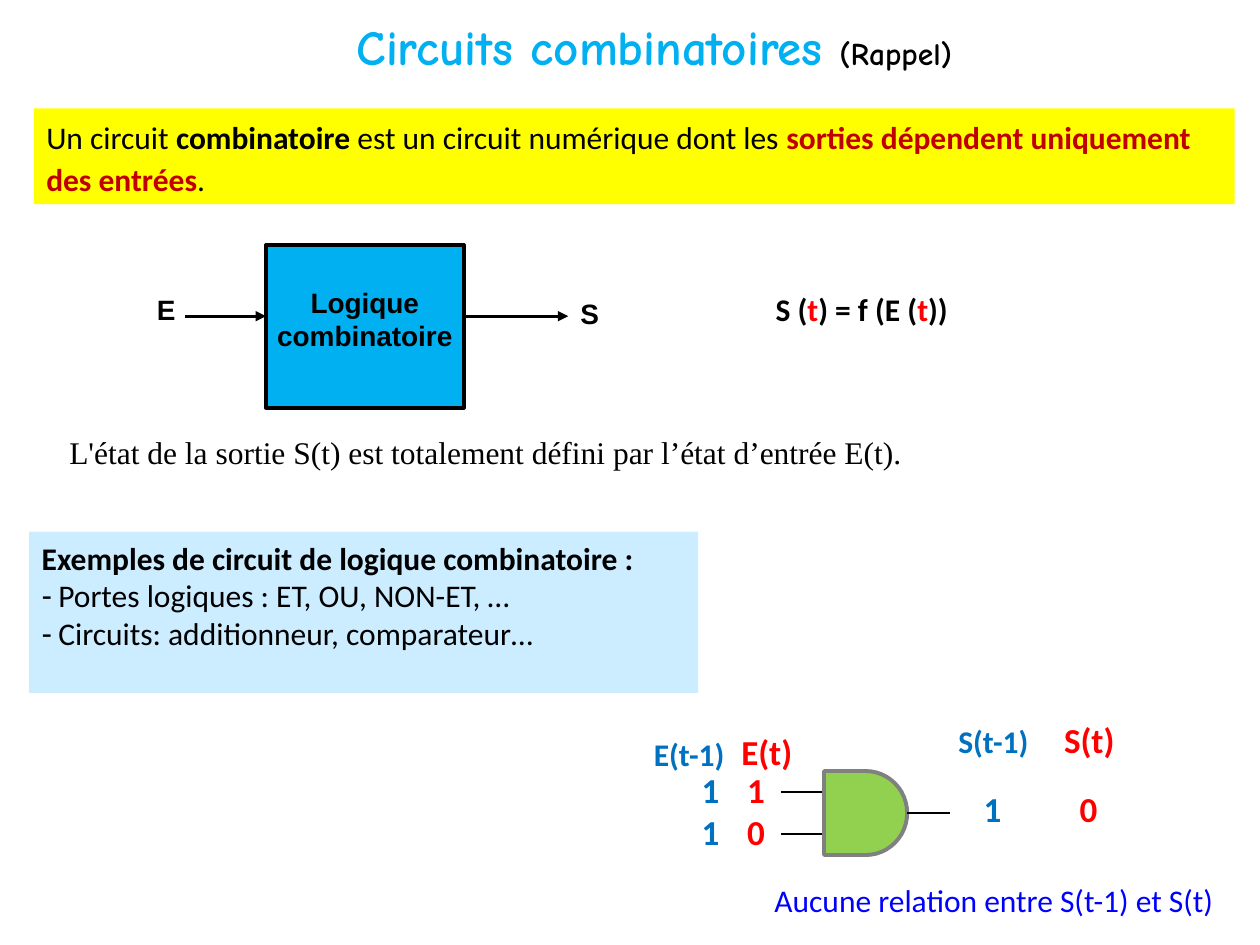
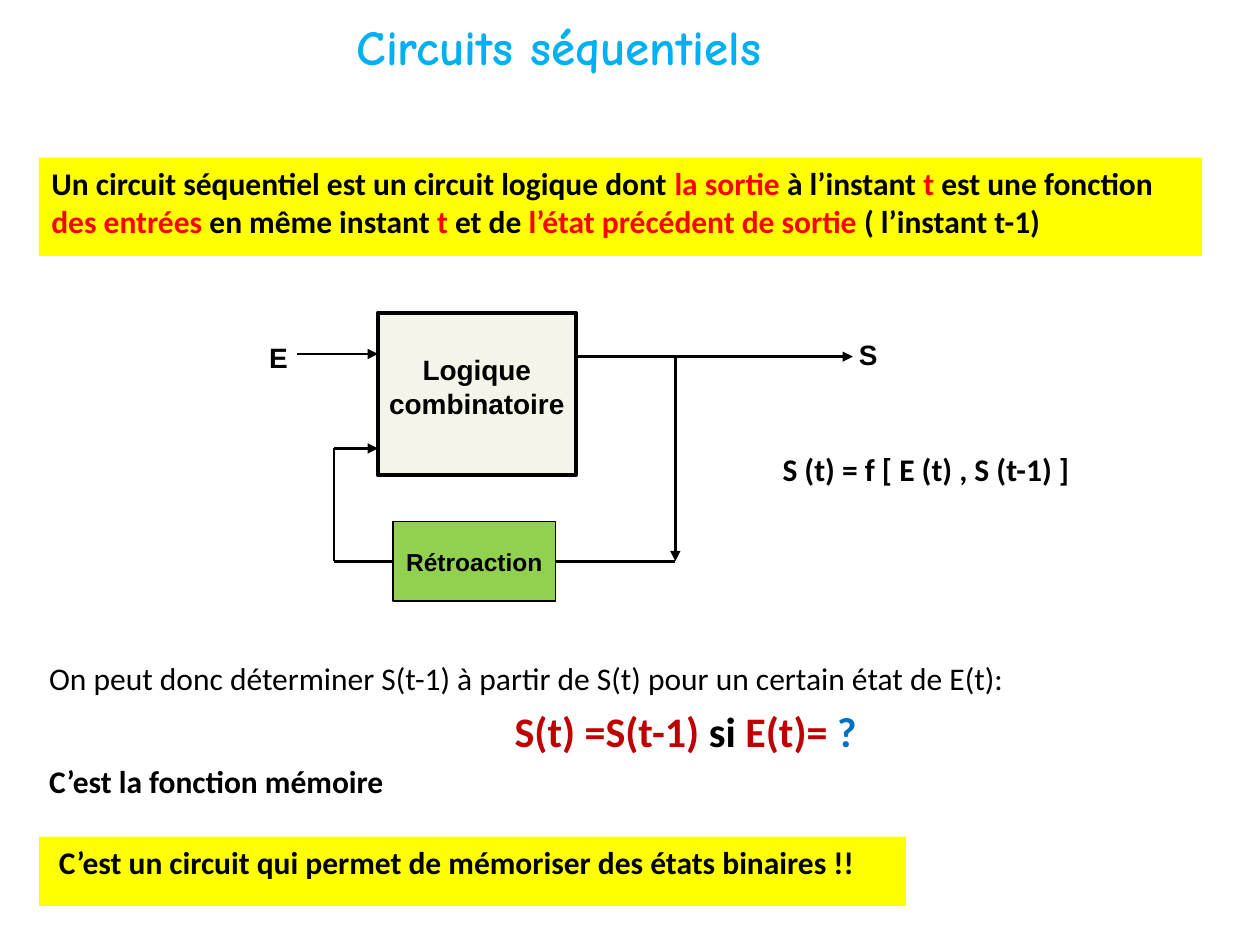
from lxml.etree import SubElement
from pptx import Presentation
from pptx.dml.color import RGBColor
from pptx.enum.shapes import MSO_CONNECTOR, MSO_SHAPE
from pptx.enum.text import MSO_ANCHOR, MSO_AUTO_SIZE, PP_ALIGN
from pptx.oxml.ns import qn
from pptx.util import Pt

THEME = {
    "ink": "000000", "sky": "00B0F0", "red": "FF0000", "wine": "C00000",
    "blue": "0070C0", "navy": "0000FF", "sun": "FFFF00", "ice": "CCECFF",
    "cream": "F4F4E8", "leaf": "92D050", "gray": "808080",
    "title": dict(name="Comic Neue", size=28, bold=True, color="sky"),
    "text": dict(name="Calibri", size=18, bold=False, color="ink"),
    "strong": dict(name="Calibri", size=18, bold=True, color="ink"),
    "serif": dict(name="Times New Roman", size=18, bold=False, color="ink"),
    "block": dict(name="Arial", size=16, bold=True, color="ink"),
    "small": dict(name="Arial", size=14, bold=True, color="ink"),
    "past": dict(name="Calibri", size=18, bold=True, color="blue"),
    "note": dict(name="Calibri", size=18, bold=False, color="navy"),
    "old bit": dict(name="Calibri", size=20, bold=True, color="blue"),
    "new bit": dict(name="Calibri", size=20, bold=True, color="red"),
}
BOLD, RED = dict(bold=True), dict(color="red")
WINE, BLUE = dict(color="wine"), dict(color="blue")
LOGIC = "Logique combinatoire"
WIDE, THICK = 113, 93            # logic block
EDGE, WIRE, THIN = 2.25, 1.5, 1  # line widths
SPOT = (14.4, 19.4)              # E and S labels
SUM = (208.8, 28.8)              # formula boxes

# A paragraph is a list of runs; a run is text, or text with changes of style.
COMBI = {
    "title": ["Circuits combinatoires ", ("(Rappel)", dict(size=18, color="ink"))],
    "rule": ["Un circuit ", ("combinatoire", BOLD),
             " est un circuit numérique dont les ",
             ("sorties dépendent uniquement des entrées", BOLD | WINE), "."],
    "sum": ["S (", ("t", RED), ") = f (E (", ("t", RED), "))"],
    "state": ["L'état de la sortie S(t) est totalement défini par l’état d’entrée E(t)."],
    "list": [
        ([("Exemples de circuit de logique combinatoire\u00a0:", BOLD)], {}),
        (["Portes logiques : ET, OU, NON-ET, …"], dict(mark="-", left=9.5)),
        (["Circuits: additionneur, comparateur…"], dict(mark="-", left=9.5)),
    ],
    # text lines, style, place
    "tags": [
        ("11", "old bit", (393.8, 435.6, 24.5, 55.4)),
        ("10", "new bit", (419.8, 435.6, 24.5, 55.4)),
        ("1", "old bit", (555, 446.4, 24.5, 31.7)),
        ("0", "new bit", (609.8, 446.4, 24.5, 31.7)),
        (["E(t-1)"], "past", (365.8, 416.2, 56, 28.8)),
        (["E(t)"], "new bit", (416.2, 414, 44, 31.7)),
        (["S(t-1)"], "past", (540, 409, 55.4, 28.8)),
        (["S(t)"], "new bit", (600.5, 406.8, 44, 31.7)),
        (["Aucune relation entre S(t-1) et S(t)"], "note", (433.4, 499.7, 269.3, 28.8)),
    ],
}
SEQ = {
    "title": ["Circuits séquentiels"],
    "rule": ["Un circuit séquentiel est un circuit logique dont ", ("la sortie ", RED),
             "à l’instant ", ("t", RED), " est une fonction ", ("des entrées", RED),
             " en même instant ", ("t", RED), " et de ",
             ("l’état précédent de sortie ", RED), "( l’instant t-1)"],
    "sum": ["S (t) = f [ E (t) , S (t-1) ]"],
    "list": [
        (["On peut donc déterminer S(t-1) à partir de S(t) "
          "pour un certain état de E(t):"], {}),
        ([(part, BOLD | dict(size=24) | tint) for part, tint in (
            ("S(t) =S(t-1) ", WINE), ("si", {}), (" E(t)= ", WINE), ("?", BLUE))],
         dict(left=266, before=4.8)),
        ([("C’est la fonction mémoire", BOLD)], dict(before=3.6)),
    ],
    "end": ["C’est un circuit qui permet de mémoriser des états binaires !!"],
}


def tone(key):
    return RGBColor.from_string(THEME[key])


def paint(item, fill=None, line=None, width=THIN):
    item.shadow.inherit = False
    if fill:
        item.fill.solid()
        item.fill.fore_color.rgb = tone(fill)
    if line:
        item.line.color.rgb = tone(line)
        item.line.width = Pt(width)
    else:
        item.line.fill.background()


def place(item, at):
    for name, size in zip(("left", "top", "width", "height"), at):
        setattr(item, name, Pt(size))


def write(frame, paras, style, align=PP_ALIGN.LEFT, pads=(7.2, 3.6, 7.2, 3.6),
          anchor=MSO_ANCHOR.TOP, wrap=True):
    """Fill a text frame and return its paragraphs."""
    sides = ("margin_left", "margin_top", "margin_right", "margin_bottom")
    look = dict(word_wrap=wrap, auto_size=MSO_AUTO_SIZE.NONE, vertical_anchor=anchor)
    look |= {side: Pt(pad) for side, pad in zip(sides, pads)}
    for name, value in look.items():
        setattr(frame, name, value)
    for i, runs in enumerate(paras):
        par = frame.add_paragraph() if i else frame.paragraphs[0]
        par.alignment = align
        for bit in runs:
            words, more = (bit, {}) if isinstance(bit, str) else bit
            run = par.add_run()
            run.text = words
            form = THEME[style] | more
            run.font.color.rgb = tone(form["color"])
            for name in ("name", "size", "bold"):
                value = form[name]
                setattr(run.font, name, Pt(value) if name == "size" else value)
    return frame.paragraphs


def label(slide, at, paras, style, **look):
    box = slide.shapes.add_textbox(*map(Pt, at))
    write(box.text_frame, paras, style, **look)


def block(slide, at, paras, style, fill, line=None, width=THIN, **look):
    box = slide.shapes.add_shape(MSO_SHAPE.RECTANGLE, *map(Pt, at))
    paint(box, fill, line, width)
    write(box.text_frame, paras, style, **look)
    return box


def logic(slide, left, top, fill):
    block(slide, (left, top, WIDE, THICK), [[LOGIC]], "block", fill, "ink", EDGE,
          align=PP_ALIGN.CENTER, pads=(5.8, 0, 5.8, 8.6), anchor=MSO_ANCHOR.MIDDLE)


def wire(slide, start, end, arrow=False, tie=None):
    """Draw a line; tie is a shape and the site where the line starts."""
    line = slide.shapes.add_connector(MSO_CONNECTOR.STRAIGHT, *map(Pt, start + end))
    line.line.color.rgb = tone("ink")
    line.line.width = Pt(WIRE)
    if arrow:
        SubElement(line.line._get_or_add_ln(), qn("a:tailEnd"), type="triangle")
    SubElement(line._element.spPr, qn("a:effectLst"))
    if tie:
        line.begin_connect(*tie)


def ends(slide, spots):
    for name, spot in zip("ES", spots):
        label(slide, spot + SPOT, [[name]], "block", align=PP_ALIGN.CENTER, pads=(0,) * 4)


def fill_list(slide, rows, at, pads):
    """Put rows in the body placeholder, with hanging marks and indents."""
    body = slide.placeholders[1]
    place(body, at)
    pars = write(body.text_frame, [runs for runs, _ in rows], "text", pads=pads)
    for par, (_, form) in zip(pars, rows):
        mark, left = form.get("mark"), form.get("left", 0)
        props = par._p.get_or_add_pPr()
        props.set("marL", str(Pt(left)))
        props.set("indent", str(-Pt(left) if mark else 0))
        if mark:
            SubElement(props, qn("a:buChar"), char=mark)
        else:
            SubElement(props, qn("a:buNone"))
        par.space_before = Pt(form.get("before", 0))
    return body


def start(deck, data):
    slide = deck.slides.add_slide(deck.slide_layouts[1])
    place(slide.shapes.title, (196.6, 5.8, 398, 41))
    write(slide.shapes.title.text_frame, [data["title"]], "title")
    return slide


def combi(deck):
    slide = start(deck, COMBI)
    pars = block(slide, (19.4, 62, 686.2, 54.7), [COMBI["rule"]], "text",
                 "sun").text_frame.paragraphs
    pars[0].line_spacing = 1.1

    left, top, axis = 152, 140, 180.7
    logic(slide, left, top, "sky")
    wire(slide, (105.8, axis), (left, axis), True)
    wire(slide, (left + WIDE, axis), (324.7, axis), True)
    ends(slide, [(87.8, 167), (329.8, 169.2)])
    label(slide, (388, 162) + SUM, [COMBI["sum"]], "strong", align=PP_ALIGN.CENTER)
    label(slide, (39.6, 247.7, 652, 50), [COMBI["state"]], "serif", pads=(0,) * 4)

    body = fill_list(slide, COMBI["list"], (16.6, 303.8, 382.3, 92.2), (7.2, 4, 7.2, 4))
    body.fill.solid()
    body.fill.fore_color.rgb = tone("ice")

    x, y, wide, tall = 470.9, 440.6, 47.5, 48
    for part in (1, 3):
        level = y + tall * part / 4
        wire(slide, (x - 24.5, level), (x, level))
    gate = slide.shapes.add_shape(MSO_SHAPE.FLOWCHART_DELAY, *map(Pt, (x, y, wide, tall)))
    paint(gate, "leaf", "gray", EDGE)
    mid = y + tall / 2
    wire(slide, (x + wide, mid), (x + wide + 24.5, mid), tie=(gate, 3))
    for lines, style, at in COMBI["tags"]:
        label(slide, at, [[line] for line in lines], style,
              align=PP_ALIGN.CENTER, wrap=False)


def seq(deck):
    slide = start(deck, SEQ)
    block(slide, (22.3, 90, 664.6, 56.2), [SEQ["rule"]], "strong", "sun")

    left, top = 216, 178.6
    logic(slide, left, top, "cream")
    back = block(slide, (224.6, 298, 92.9, 45.4), [["Rétroaction"]], "small", "leaf",
                 "ink", align=PP_ALIGN.CENTER, pads=(5.8,) * 4, anchor=MSO_ANCHOR.MIDDLE)
    near, far, low, turn, high = 190.8, 385.9, 320.7, 256.3, 203.8
    wire(slide, (169.9, 202.3), (left, 202.3), True)
    wire(slide, (left + WIDE, high), (487.4, high), True)
    wire(slide, (far, high), (far, low), True)
    wire(slide, (317.5, low), (far, low), tie=(back, 3))
    wire(slide, (224.6, low), (near, low), tie=(back, 1))
    wire(slide, (near, low), (near, turn))
    wire(slide, (near, turn), (left, turn), True)
    ends(slide, [(151.9, 194.4), (488.9, 193)])
    label(slide, (424.8, 253.4) + SUM, [SEQ["sum"]], "strong", align=PP_ALIGN.CENTER)

    fill_list(slide, SEQ["list"], (28.1, 376.6, 680.4, 80), (0,) * 4)
    block(slide, (22.3, 478, 495.4, 39.6), [SEQ["end"]], "strong", "sun",
          pads=(11.4, 3.6, 7.2, 3.6))


def main():
    deck = Presentation()
    deck.slide_width, deck.slide_height = Pt(720), Pt(540)
    combi(deck)
    seq(deck)
    deck.save("out.pptx")


if __name__ == "__main__":
    main()
